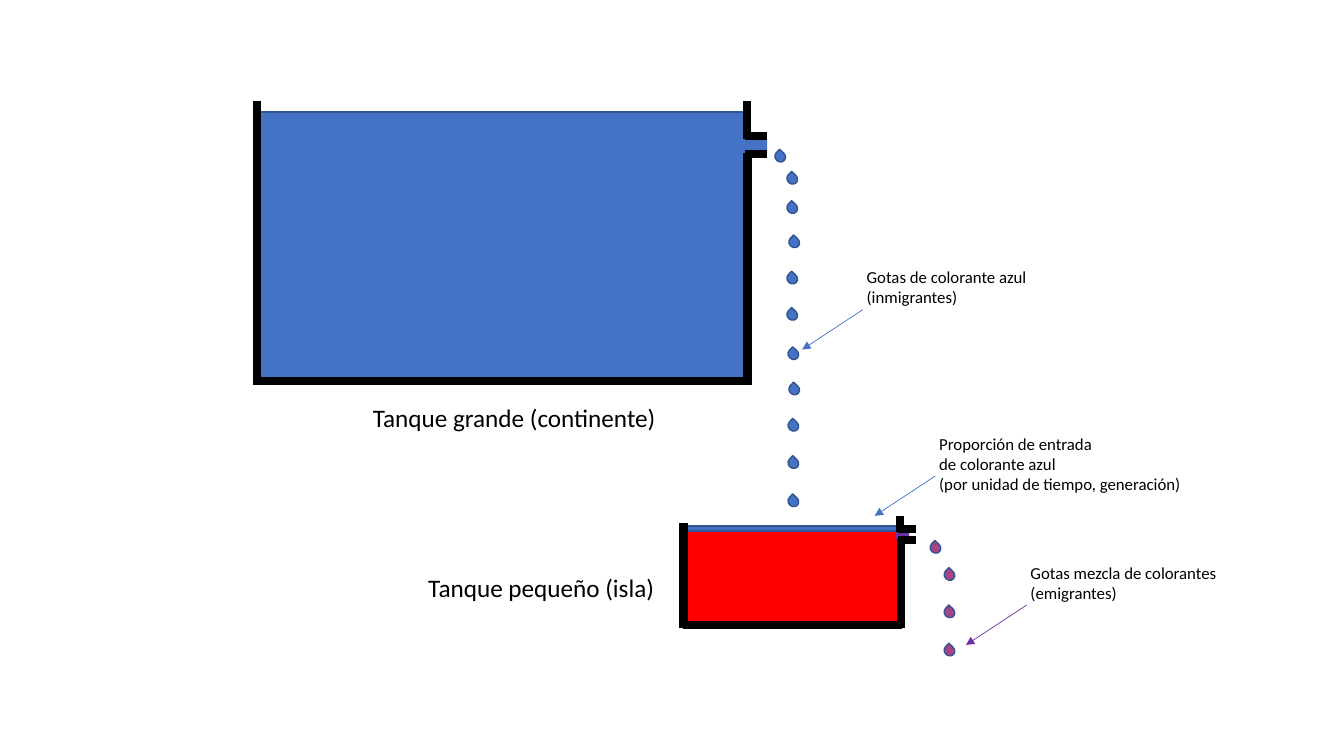
from dataclasses import dataclass

from lxml import etree
from pptx import Presentation
from pptx.dml.color import RGBColor
from pptx.enum.shapes import MSO_CONNECTOR, MSO_SHAPE
from pptx.enum.text import MSO_AUTO_SIZE
from pptx.oxml.ns import qn
from pptx.util import Pt

STRAIGHT = MSO_CONNECTOR.STRAIGHT
RECTANGLE = MSO_SHAPE.RECTANGLE
TEARDROP = MSO_SHAPE.TEAR
FIT_SHAPE = MSO_AUTO_SIZE.SHAPE_TO_FIT_TEXT


@dataclass(frozen=True)
class Theme:
    font: str = "Calibri"
    label_size: float = 18
    callout_size: float = 12
    wall_width: float = 6
    outline_width: float = 1
    arrow_width: float = 0.5
    black: str = "000000"
    blue: str = "4472C4"
    outline: str = "325491"
    red: str = "FF0000"
    purple: str = "7030A0"
    mixture: str = "A64486"


THEME = Theme()


def add_filled(slide, kind, left, top, width, height, color, outlined=True):
    shape = slide.shapes.add_shape(kind, Pt(left), Pt(top), Pt(width), Pt(height))
    shape.shadow.inherit = False
    shape.fill.solid()
    shape.fill.fore_color.rgb = RGBColor.from_string(color)
    if outlined:
        shape.line.color.rgb = RGBColor.from_string(THEME.outline)
        shape.line.width = Pt(THEME.outline_width)
    else:
        shape.line.fill.background()
    return shape


def add_line(slide, start, end, color, width, arrow=False):
    points = [Pt(value) for value in (*start, *end)]
    connector = slide.shapes.add_connector(STRAIGHT, *points)
    connector.line.color.rgb = RGBColor.from_string(color)
    connector.line.width = Pt(width)
    if arrow:
        line_xml = connector.line._get_or_add_ln()
        etree.SubElement(line_xml, qn("a:tailEnd"), type="triangle")
    etree.SubElement(connector._element.spPr, qn("a:effectLst"))


def add_text(slide, left, top, width, height, lines, size, wrap=True):
    box = slide.shapes.add_textbox(Pt(left), Pt(top), Pt(width), Pt(height))
    frame = box.text_frame
    frame.word_wrap = wrap
    frame.auto_size = FIT_SHAPE
    for index, line in enumerate(lines):
        paragraph = frame.add_paragraph() if index else frame.paragraphs[0]
        run = paragraph.add_run()
        run.text = line
        run.font.name = THEME.font
        run.font.size = Pt(size)
        run.font.color.rgb = RGBColor.from_string(THEME.black)


def add_tank(slide, left, top, width, height, layers, spout, flow, right_rise=0):
    """Layers are (top, bottom, color), spout (top, bottom, reach), flow (color, reach)."""
    right, floor = left + width, top + height
    spout_top, spout_bottom, spout_reach = spout
    upper, lower = top + spout_top, top + spout_bottom
    # Liquid
    for layer_top, layer_bottom, color in layers:
        add_filled(slide, RECTANGLE, left + 1, top + layer_top,
                   width - 1.5, layer_bottom - layer_top, color)
    flow_color, flow_reach = flow
    add_filled(slide, RECTANGLE, right - 4, upper + 2, flow_reach + 4,
               lower - upper - 2, flow_color, outlined=False)
    # Walls, floor and spout
    walls = [
        ((left, top), (left, floor + 2.5)),
        ((right + 1, floor), (left, floor)),
        ((right, lower - 0.8), (right, floor + 2.5)),
        ((right - 0.5, top - right_rise), (right - 0.5, upper + 2)),
        ((right + spout_reach, upper), (right - 2, upper)),
        ((right + spout_reach, lower), (right - 2, lower)),
    ]
    for start, end in walls:
        add_line(slide, start, end, THEME.black, THEME.wall_width)


def add_drops(slide, left, top, offsets, color):
    for across, down in offsets:
        drop = add_filled(slide, TEARDROP, left + across, top + down, 7.2, 7.9, color)
        drop.rotation = 312.7


def add_callout(slide, left, top, lines, color):
    height = 7.2 + 14.4 * len(lines)
    add_text(slide, left, top, 199.4, height, lines, THEME.callout_size)
    add_line(slide, (left + 4.3, top + 34), (left - 39, top + 62.5),
             color, THEME.arrow_width, arrow=True)


def build_migration_slide(presentation):
    slide = presentation.slides.add_slide(presentation.slide_layouts[6])
    # Continent
    add_tank(slide, 183.6, 72, 350.4, 200.2, [(8, 198, THEME.blue)],
             spout=(25.2, 38.2, 14), flow=(THEME.blue, 14))
    add_drops(slide, 553.7, 108,
              [(0, 0), (8.6, 15.8), (8.6, 36.7), (10, 61.2), (8.6, 87.1), (8.6, 113),
               (9.4, 141.1), (10, 166.3), (9.4, 192.2), (9.4, 218.9), (9.4, 246.2)],
              THEME.blue)
    # Island
    add_tank(slide, 488.2, 373.7, 155.2, 72.7,
             [(2.1, 5.7, THEME.blue), (5.7, 71.9, THEME.red)],
             spout=(4.3, 12.2, 11), flow=(THEME.purple, 6), right_rise=5)
    add_drops(slide, 664.6, 387.4, [(0, 0), (10, 19.4), (10, 46.1), (10, 73.4)],
              THEME.mixture)
    # Tank names
    add_text(slide, 298.8, 405.4, 178.6, 29, ["Tanque pequeño (isla)"],
             THEME.label_size, wrap=False)
    add_text(slide, 259.2, 283.7, 219.6, 29, ["Tanque grande (continente)"],
             THEME.label_size, wrap=False)
    # Callouts
    add_callout(slide, 663.8, 306,
                ["Proporción de entrada", "de colorante azul",
                 "(por unidad de tiempo, generación)"], THEME.blue)
    add_callout(slide, 612, 187.2,
                ["Gotas de colorante azul", "(inmigrantes)"], THEME.blue)
    add_callout(slide, 729, 398.2,
                ["Gotas mezcla de colorantes", "(emigrantes)"], THEME.purple)


presentation = Presentation()
presentation.slide_width = Pt(960)
presentation.slide_height = Pt(540)
build_migration_slide(presentation)
presentation.save("out.pptx")
